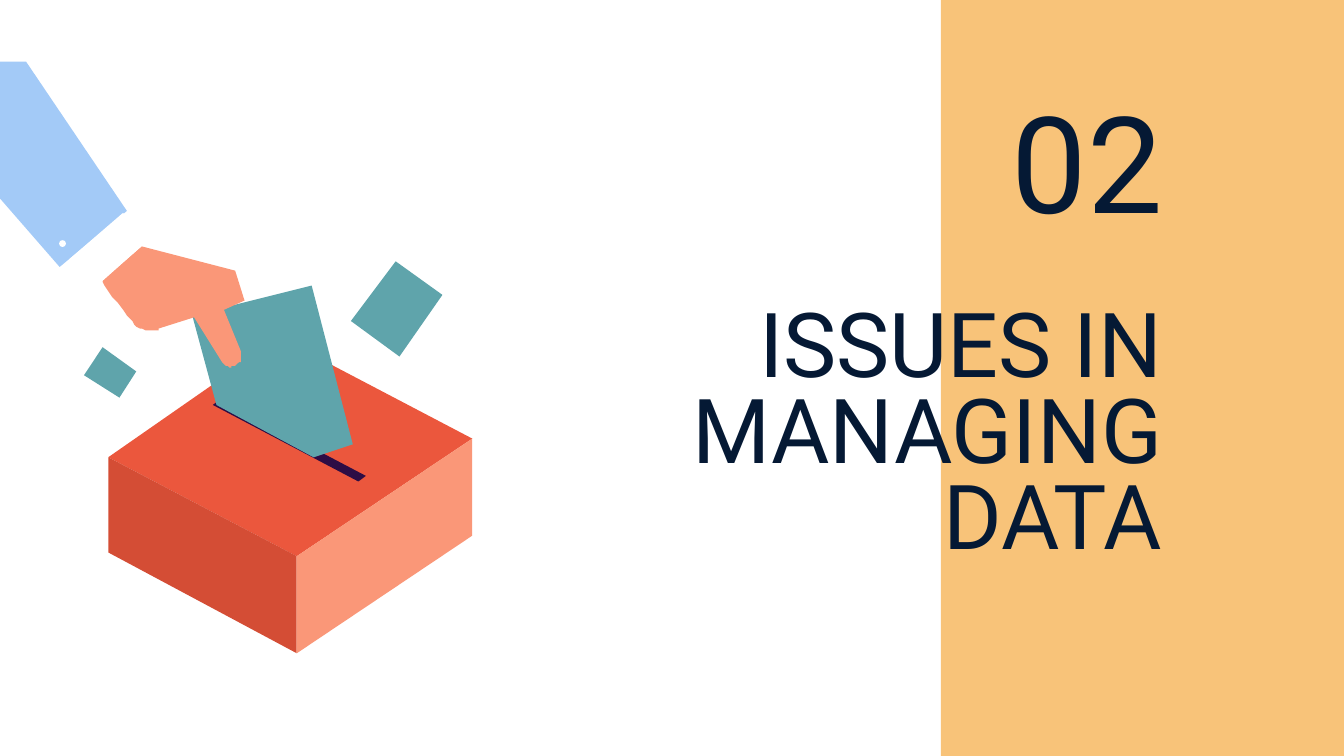
from pptx import Presentation
from pptx.dml.color import RGBColor
from pptx.enum.shapes import MSO_SHAPE
from pptx.enum.text import MSO_ANCHOR, MSO_AUTO_SIZE, PP_ALIGN
from pptx.util import Pt

COLORS = {
    "panel": "F8C379",
    "text": "051934",
    "box_top": "EB573D",
    "box_left": "D44D35",
    "skin": "FA9778",
    "slot": "2D0D45",
    "paper": "5FA4AB",
    "sleeve": "A3CAF7",
    "white": "FFFFFF",
}
FONT = "Roboto"
CURVE_STEPS = 8


def paint(shape, color):
    shape.shadow.inherit = False
    shape.fill.solid()
    shape.fill.fore_color.rgb = RGBColor.from_string(COLORS[color])
    shape.line.fill.background()


def curve(start, control_1, control_2, end):
    """Points along a cubic Bezier curve, without its start."""
    points = []
    for step in range(1, CURVE_STEPS + 1):
        t = step / CURVE_STEPS
        weights = ((1 - t) ** 3, 3 * t * (1 - t) ** 2, 3 * t ** 2 * (1 - t), t ** 3)
        corners = (start, control_1, control_2, end)
        points.append(tuple(sum(w * c[axis] for w, c in zip(weights, corners))
                            for axis in (0, 1)))
    return points


def add_outline(shapes, points, color):
    builder = shapes.build_freeform(*points[0], scale=Pt(1))
    builder.add_line_segments(points[1:], close=True)
    paint(builder.convert_to_shape(), color)


def add_preset(shapes, kind, left, top, width, height, color):
    shape = shapes.add_shape(kind, Pt(left), Pt(top), Pt(width), Pt(height))
    paint(shape, color)
    return shape


def write_heading(heading, text, box, size, anchor, line_spacing):
    heading.left, heading.top, heading.width, heading.height = map(Pt, box)
    frame = heading.text_frame
    frame.text = text
    frame.word_wrap = True
    frame.auto_size = MSO_AUTO_SIZE.NONE
    frame.vertical_anchor = anchor
    frame.margin_left = frame.margin_right = Pt(7.2)
    frame.margin_top = frame.margin_bottom = Pt(7.2)
    paragraph = frame.paragraphs[0]
    paragraph.alignment = PP_ALIGN.RIGHT
    paragraph.line_spacing = line_spacing
    paragraph.space_before = Pt(0)
    paragraph.font.name = FONT
    paragraph.font.size = Pt(size)
    paragraph.font.color.rgb = RGBColor.from_string(COLORS["text"])


def draw_ballot_box(shapes):
    back, right, front, left = (150.5, 181.4), (252.7, 235.4), (159.1, 298.1), (57.6, 244.8)
    low_right, low_front, low_left = [(x, y + 51.5) for x, y in (right, front, left)]
    add_outline(shapes, [back, right, front, left], "box_top")
    add_outline(shapes, [(118.1, 213.8), (195.8, 254.9), (192.2, 257.8), (113.8, 216.7)], "slot")
    add_outline(shapes, [left, front, low_front, low_left], "box_left")
    add_outline(shapes, [right, low_right, low_front, front], "skin")


def draw_papers(shapes):
    ballot = [(167, 152.6), (189.4, 237.6), (167.8, 244.8), (115.9, 217.4), (103, 169.2)]
    large_paper = [(211.7, 139.7), (236.9, 158.4), (213.8, 190.8), (187.9, 172.1)]
    small_paper = [(54.7, 185.8), (73.4, 198.7), (64.1, 213.1), (45.4, 200.9)]
    for paper in (ballot, large_paper, small_paper):
        add_outline(shapes, paper, "paper")


def draw_arm(shapes):
    # Hand with rounded fingertip and heel
    hand = [(75.6, 132.5), (126, 144.7), (131, 161.3), (119.5, 165.6), (128.9, 187.9)]
    fingertip = [
        ((130.3, 191.5), (128.9, 194.4), (126, 195.8)),
        ((125.3, 195.8), (124.6, 196.6), (123.8, 196.6)),
        ((121.7, 196.6), (119.5, 195.1), (118.8, 193.7)),
    ]
    heel = [
        ((85, 176.4), (83.5, 177.1), (81.4, 177.1)),
        ((78.5, 177.1), (74.2, 176.4), (70.6, 172.1)),
        ((64.8, 165.6), (54.7, 150.5), (54.7, 150.5)),
    ]
    for bend in fingertip:
        hand += curve(hand[-1], *bend)
    hand += [(104.4, 169.9), (85, 176.4)]
    for bend in heel:
        hand += curve(hand[-1], *bend)
    add_outline(shapes, hand, "skin")

    # Sleeve, cuff and button
    sleeve = [(13.7, 33.1), (67.7, 113), (32.4, 143.3), (-28.8, 72.7), (-28.8, 33.1)]
    cuff = [(66.2, 114.5), (78.5, 130.3), (51.1, 154.1), (37.4, 139)]
    add_outline(shapes, sleeve, "sleeve")
    add_outline(shapes, cuff, "white")
    add_preset(shapes, MSO_SHAPE.OVAL, 31.7, 128.7, 3.6, 3.6, "white")


def main():
    deck = Presentation()
    deck.slide_width, deck.slide_height = Pt(720), Pt(405)
    slide = deck.slides.add_slide(deck.slide_layouts[0])
    title, number = slide.placeholders

    # Side panel, behind the headings
    panel = add_preset(slide.shapes, MSO_SHAPE.RECTANGLE, 504, -0.7, 218, 406.8, "panel")
    title.element.addprevious(panel.element)

    # Section title and number
    write_heading(title, "ISSUES IN MANAGING DATA", (296.6, 201.6, 333.4, 66.2),
                  48, MSO_ANCHOR.MIDDLE, 0.8)
    write_heading(number, "02", (432, 74.2, 198, 61.9), 72, MSO_ANCHOR.BOTTOM, 1.0)

    # Voting illustration
    illustration = slide.shapes.add_group_shape().shapes
    draw_ballot_box(illustration)
    draw_papers(illustration)
    draw_arm(illustration)

    deck.save("out.pptx")


if __name__ == "__main__":
    main()
